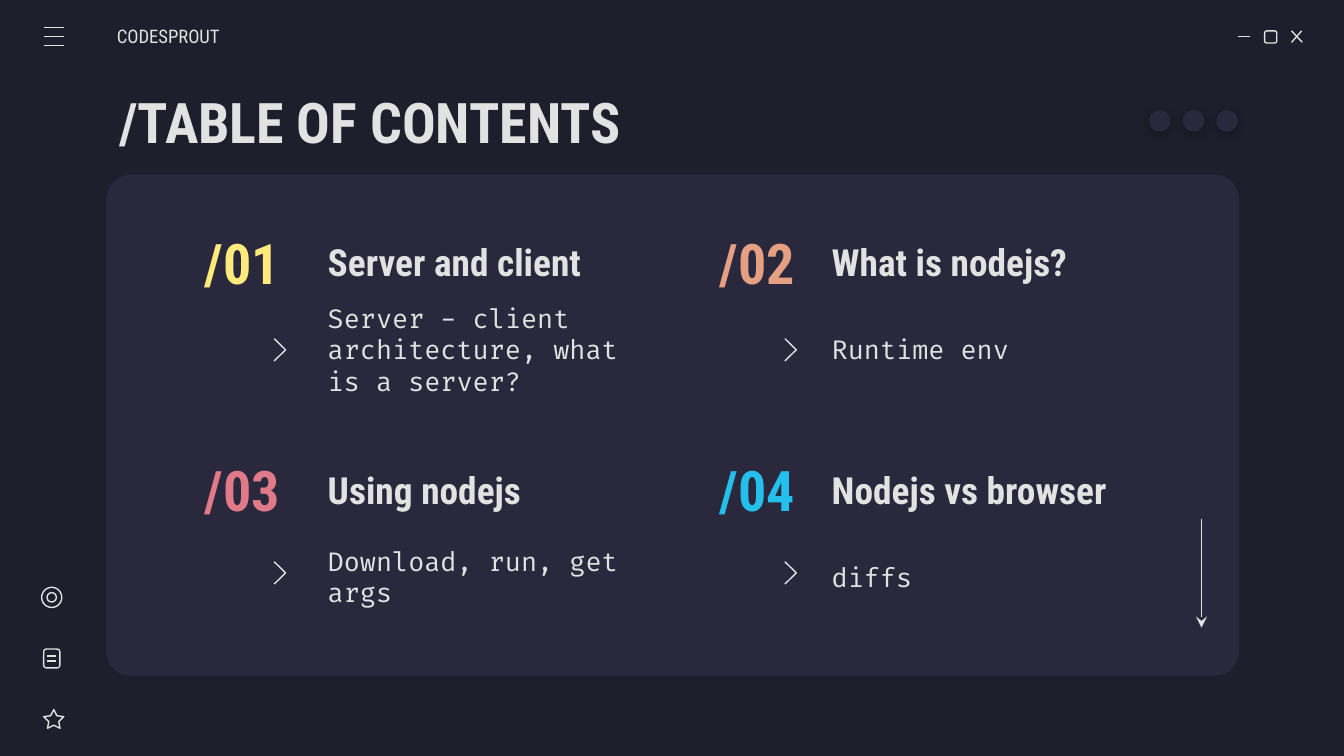
"""Build a dark, window-styled table of contents slide with four numbered topics."""
from dataclasses import dataclass

from lxml import etree
from pptx import Presentation
from pptx.dml.color import RGBColor
from pptx.enum import shapes, text
from pptx.oxml import ns
from pptx.slide import Slide
from pptx.util import Inches, Length, Pt

COLUMNS, ROWS = 100, 56.25
NIGHT = RGBColor(0x1E, 0x1E, 0x2C)
PANEL = RGBColor(0x29, 0x28, 0x3D)
CHALK = RGBColor(0xE2, 0xE2, 0xE2)
YELLOW = RGBColor(0xFF, 0xEA, 0x7D)
ORANGE = RGBColor(0xE5, 0xA0, 0x83)
PINK = RGBColor(0xE0, 0x7A, 0x88)
BLUE = RGBColor(0x24, 0xBF, 0xEB)
HEADING_FONT, CODE_FONT = "Roboto Condensed", "Fira Code"
SHAPE = shapes.MSO_SHAPE


@dataclass(frozen=True)
class Area:
    """A rectangle in grid columns and rows."""
    left: float
    top: float
    width: float
    height: float

    def lengths(self) -> tuple[Length, ...]:
        """Return the rectangle as slide lengths."""
        return tuple(map(cells, (self.left, self.top, self.width, self.height)))


@dataclass(frozen=True)
class Style:
    """The look of one span of text."""
    size: float
    font: str = HEADING_FONT
    color: RGBColor = CHALK
    bold: bool = True
    centered: bool = False
    inset: float = 1


@dataclass(frozen=True)
class Topic:
    """One numbered entry of the contents."""
    number: str
    title: str
    summary: str
    color: RGBColor
    title_width: float


@dataclass(frozen=True)
class Place:
    """Where the parts of a topic start in one column of the panel."""
    number: float
    chevron: float
    title: float


TOPICS = (
    Topic("/01", "Server and client", "Server - client architecture, what is a server?", YELLOW, 28.5),
    Topic("/02", "What is nodejs?", "Runtime env", ORANGE, 30.6),
    Topic("/03", "Using nodejs", "Download, run, get args", PINK, 29.1),
    Topic("/04", "Nodejs vs browser", "diffs", BLUE, 25.6),
)
PLACES = (Place(13.5, 20.4, 23.4), Place(51.8, 58.4, 60.9))
TOPIC_ROWS = (16.7, 33.6)
CHEVRON_ROWS = (25.2, 41.8)


def cells(count: float) -> Length:
    """Convert grid cells to a slide length."""
    return Inches(count / 10)


def add_text(page: Slide, area: Area, words: str, style: Style) -> None:
    """Add a vertically centred text box."""
    box = page.shapes.add_textbox(*area.lengths())
    frame = box.text_frame
    frame.word_wrap = True
    frame.vertical_anchor = text.MSO_ANCHOR.MIDDLE
    frame.margin_left = cells(style.inset)
    frame.margin_right = frame.margin_top = frame.margin_bottom = cells(1)
    para = frame.paragraphs[0]
    para.alignment = text.PP_ALIGN.CENTER if style.centered else text.PP_ALIGN.LEFT
    span = para.add_run()
    span.text = words
    span.font.name = style.font
    span.font.size = Pt(style.size)
    span.font.bold = style.bold
    span.font.color.rgb = style.color


def outline(shape) -> None:
    """Leave only a thin light outline on a shape."""
    shape.shadow.inherit = False
    shape.fill.background()
    shape.line.color.rgb = CHALK
    shape.line.width = Pt(0.75)


def add_outlined(page: Slide, kind: SHAPE, area: Area):
    """Add an unfilled preset shape."""
    shape = page.shapes.add_shape(kind, *area.lengths())
    outline(shape)
    return shape


def add_filled(page: Slide, kind: SHAPE, area: Area):
    """Add a panel-coloured preset shape without a line."""
    shape = page.shapes.add_shape(kind, *area.lengths())
    shape.shadow.inherit = False
    shape.fill.solid()
    shape.fill.fore_color.rgb = PANEL
    shape.line.fill.background()
    return shape


def add_line(page: Slide, left: float, top: float, right: float, bottom: float):
    """Add a thin straight connector."""
    line = page.shapes.add_connector(
        shapes.MSO_CONNECTOR.STRAIGHT, *map(cells, (left, top, right, bottom)))
    line.line.color.rgb = CHALK
    line.line.width = Pt(0.75)
    etree.SubElement(line.element.spPr, ns.qn("a:effectLst"))
    return line


def add_chevron(page: Slide, left: float, top: float) -> None:
    """Add an open chevron pointing right."""
    builder = page.shapes.build_freeform(cells(left), cells(top))
    builder.add_line_segments(
        [(cells(left + 0.85), cells(top + 0.83)), (cells(left), cells(top + 1.66))], close=False)
    outline(builder.convert_to_shape())


def add_dot(page: Slide, left: float) -> None:
    """Add a round dot with a soft shadow below it."""
    dot = add_filled(page, SHAPE.OVAL, Area(left, 8.2, 1.6, 1.6))
    effects = dot.element.spPr.find(ns.qn("a:effectLst"))
    shadow = etree.SubElement(effects, ns.qn("a:outerShdw"), blurRad=str(Pt(4.5)),
                              dist=str(Pt(1.5)), dir="5400000", algn="bl", rotWithShape="0")
    tint = etree.SubElement(shadow, ns.qn("a:srgbClr"), val="000000")
    etree.SubElement(tint, ns.qn("a:alpha"), val="27000")


def add_topic(page: Slide, topic: Topic, place: Place, top: float, chevron_top: float) -> None:
    """Add the number, title, summary and chevron of a topic."""
    add_text(page, Area(place.title, top, topic.title_width, 5.6), topic.title, Style(20))
    add_text(page, Area(place.number, top, 9.1, 5.6), topic.number,
             Style(30, color=topic.color, centered=True))
    add_text(page, Area(place.title, top + 5.55, 25.6, 7.5), topic.summary,
             Style(14, CODE_FONT, bold=False))
    add_chevron(page, place.chevron, chevron_top)


def add_window_controls(page: Slide) -> None:
    """Add the menu, minimise, maximise and close icons."""
    for row in (2.05, 2.73, 3.4):
        add_line(page, 3.25, row, 4.75, row)
    add_line(page, 92.1, 2.73, 93, 2.73)
    add_outlined(page, SHAPE.ROUNDED_RECTANGLE, Area(94.1, 2.3, 0.9, 0.9))
    add_line(page, 96.1, 2.3, 96.9, 3.15)
    add_line(page, 96.85, 2.3, 96.1, 3.15)


def add_sidebar(page: Slide) -> None:
    """Add the target, document and star icons."""
    add_outlined(page, SHAPE.OVAL, Area(3.1, 43.7, 1.5, 1.5))
    add_outlined(page, SHAPE.OVAL, Area(3.5, 44.1, 0.7, 0.7))
    add_outlined(page, SHAPE.ROUNDED_RECTANGLE, Area(3.25, 48.3, 1.2, 1.4))
    for row in (48.8, 49.2):
        add_line(page, 3.5, row, 4.2, row)
    star = add_outlined(page, SHAPE.STAR_5_POINT, Area(3.25, 52.8, 1.5, 1.4))
    star.adjustments[0] = 0.25


def main() -> None:
    """Build and save the slide."""
    deck = Presentation()
    deck.slide_width, deck.slide_height = cells(COLUMNS), cells(ROWS)
    page = deck.slides.add_slide(deck.slide_layouts[6])
    page.background.fill.solid()
    page.background.fill.fore_color.rgb = NIGHT

    panel = add_filled(page, SHAPE.ROUNDED_RECTANGLE, Area(7.9, 13, 84.3, 37.3))
    panel.adjustments[0] = 0.05
    add_window_controls(page)
    for index, topic in enumerate(TOPICS):
        row, column = divmod(index, len(PLACES))
        add_topic(page, topic, PLACES[column], TOPIC_ROWS[row], CHEVRON_ROWS[row])
    add_text(page, Area(7.9, 5.9, 84.3, 6.3), "/TABLE OF CONTENTS", Style(30))
    add_sidebar(page)
    arrow = add_line(page, 89.4, 38.6, 89.4, 46.7)
    etree.SubElement(arrow.element.spPr.find(ns.qn("a:ln")), ns.qn("a:tailEnd"), type="stealth")
    for step in range(3):
        add_dot(page, 85.5 + 2.5 * step)
    add_text(page, Area(8.7, 1.2, 11.7, 3), "CODESPROUT", Style(10, bold=False, inset=0))
    deck.save("out.pptx")


if __name__ == "__main__":
    main()
